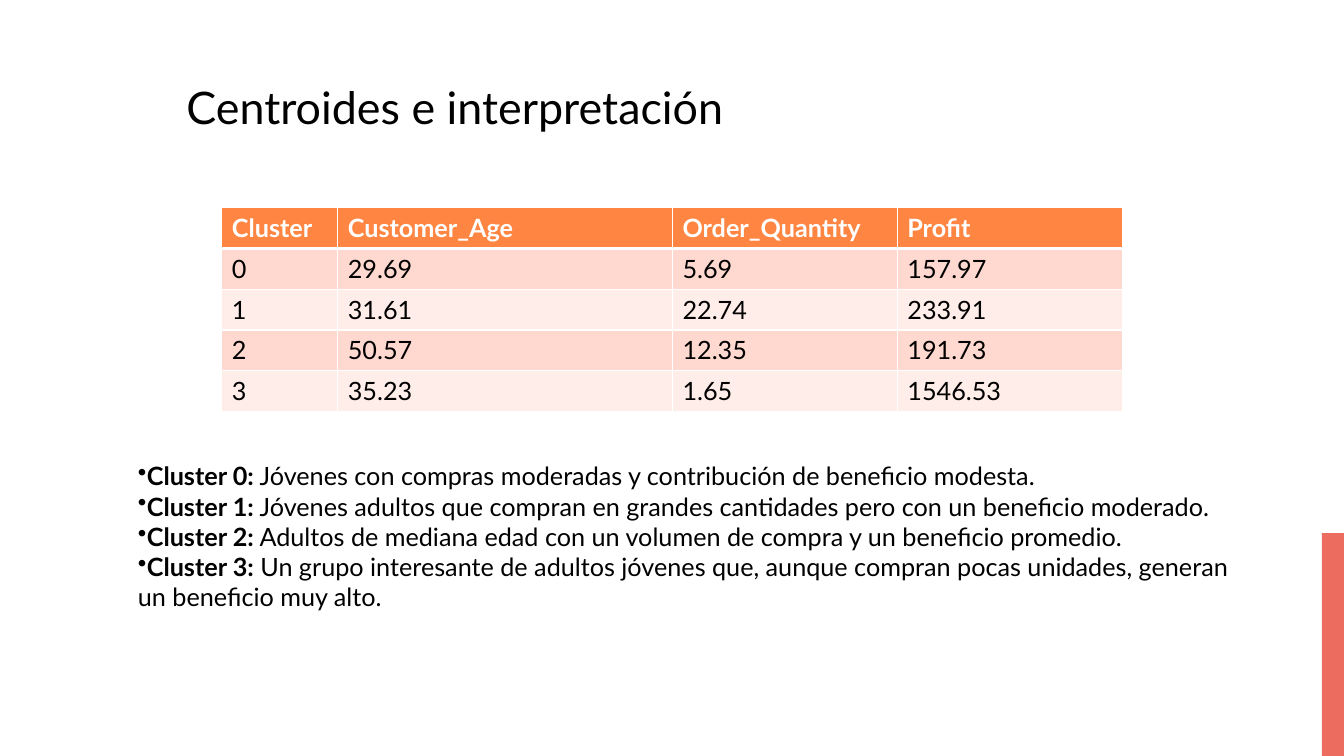
from lxml import etree
from pptx import Presentation
from pptx.dml.color import RGBColor
from pptx.enum.shapes import MSO_SHAPE
from pptx.enum.text import MSO_AUTO_SIZE
from pptx.oxml.ns import qn
from pptx.util import Inches, Pt

RECT = MSO_SHAPE.RECTANGLE
GROW = MSO_AUTO_SIZE.SHAPE_TO_FIT_TEXT
FONT = "Lato"
BLACK, WHITE, CORAL, ORANGE = "000000", "FFFFFF", "EC6D60", "FE8542"
BANDS = ["FFD9CF", "FFEDE9"]

WIDTHS = [1.15, 3.32, 2.23, 2.23]
ROWS = [
    ["Cluster", "Customer_Age", "Order_Quantity", "Profit"],
    ["0", "29.69", "5.69", "157.97"],
    ["1", "31.61", "22.74", "233.91"],
    ["2", "50.57", "12.35", "191.73"],
    ["3", "35.23", "1.65", "1546.53"],
]
NOTES = [
    "Jóvenes con compras moderadas y contribución de beneficio modesta.",
    "Jóvenes adultos que compran en grandes cantidades pero con un beneficio moderado.",
    "Adultos de mediana edad con un volumen de compra y un beneficio promedio.",
    "Un grupo interesante de adultos jóvenes que, aunque compran pocas unidades, "
    "generan un beneficio muy alto.",
]


def paint(code):
    return RGBColor.from_string(code)


def add_run(para, text, size=18, color=BLACK, bold=False):
    run = para.add_run()
    run.text = text
    style = {"name": FONT, "size": Pt(size), "bold": bold}
    for key, value in style.items():
        setattr(run.font, key, value)
    run.font.color.rgb = paint(color)


def add_frame(slide, *place):
    frame = slide.shapes.add_textbox(*map(Inches, place)).text_frame
    for key, value in {"word_wrap": True, "auto_size": GROW}.items():
        setattr(frame, key, value)
    return frame


def add_bar(slide, color, *place):
    bar = slide.shapes.add_shape(RECT, *map(Inches, place))
    bar.shadow.inherit = False
    bar.fill.solid()
    bar.fill.fore_color.rgb = paint(color)
    bar.line.fill.background()


def add_edges(cell, top, bottom):
    props = cell._tc.get_or_add_tcPr()
    for side, width in {"L": 1, "R": 1, "T": top, "B": bottom}.items():
        line = etree.SubElement(props, qn(f"a:ln{side}"), w=str(Pt(width)))
        fill = etree.SubElement(line, qn("a:solidFill"))
        etree.SubElement(fill, qn("a:srgbClr"), val=WHITE)


def add_grid(slide, rows, widths, left, top, height):
    place = map(Inches, (left, top, sum(widths), height * len(rows)))
    table = slide.shapes.add_table(len(rows), len(widths), *place).table
    for column, width in zip(table.columns, widths):
        column.width = Inches(width)
    for i, row in enumerate(rows):
        table.rows[i].height = Inches(height)
        head = i == 0
        for j, text in enumerate(row):
            cell = table.cell(i, j)
            add_edges(cell, 3 if i == 1 else 1, 3 if head else 1)
            cell.fill.solid()
            cell.fill.fore_color.rgb = paint(ORANGE if head else BANDS[(i - 1) % 2])
            para = cell.text_frame.paragraphs[0]
            add_run(para, text, color=WHITE if head else BLACK, bold=head)


def add_notes(slide, notes, *place):
    frame = add_frame(slide, *place)
    for i, note in enumerate(notes):
        para = frame.add_paragraph() if i else frame.paragraphs[0]
        etree.SubElement(para._p.get_or_add_pPr(), qn("a:buChar"), char="•")
        add_run(para, f"Cluster {i}:", bold=True)
        add_run(para, f" {note}")


def main():
    deck = Presentation()
    deck.slide_width, deck.slide_height = Inches(13.33), Inches(7.5)
    slide = deck.slides.add_slide(deck.slide_layouts[6])
    add_bar(slide, CORAL, 13.11, 5.29, 0.22, 2.21)
    add_grid(slide, ROWS, WIDTHS, 2.2, 2.06, 0.405)
    title = add_frame(slide, 1.75, 0.74, 9.71, 0.64)
    add_run(title.paragraphs[0], "Centroides e interpretación", size=32)
    add_notes(slide, NOTES, 1.27, 4.52, 11.27, 1.92)
    deck.save("out.pptx")


if __name__ == "__main__":
    main()
